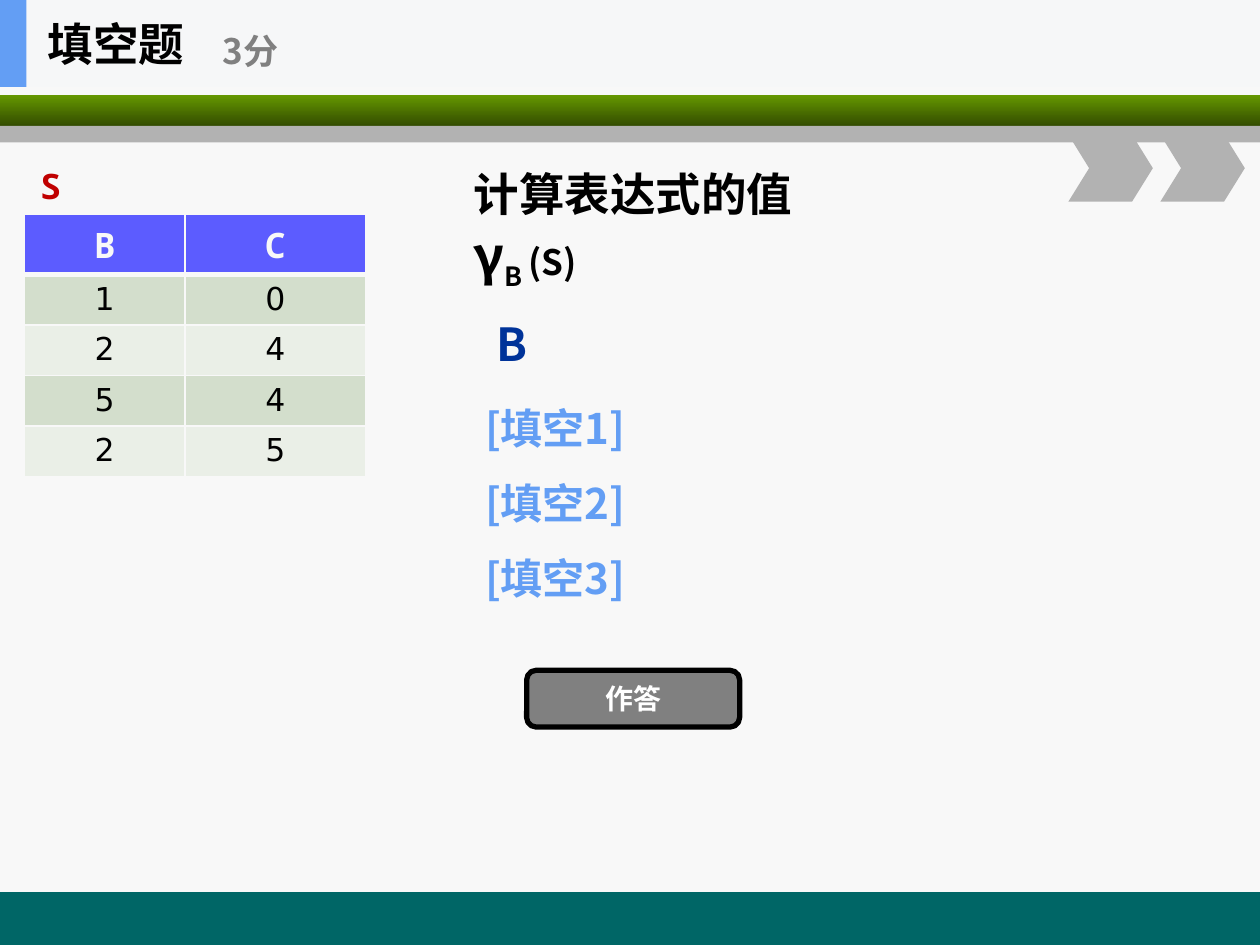
from lxml import etree
from pptx import Presentation
from pptx.dml.color import RGBColor
from pptx.enum.shapes import MSO_SHAPE
from pptx.enum.text import MSO_ANCHOR, MSO_AUTO_SIZE, PP_ALIGN
from pptx.oxml.ns import qn
from pptx.util import Inches, Pt

RECT, CHEVRON = MSO_SHAPE.RECTANGLE, MSO_SHAPE.CHEVRON
ROUNDED = MSO_SHAPE.ROUNDED_RECTANGLE
TOP, MIDDLE = MSO_ANCHOR.TOP, MSO_ANCHOR.MIDDLE
LEFT, CENTER, RIGHT = PP_ALIGN.LEFT, PP_ALIGN.CENTER, PP_ALIGN.RIGHT
NO_AUTOFIT = MSO_AUTO_SIZE.NONE

PAPER = RGBColor(0xF8, 0xF8, 0xF8)
HEADER = RGBColor(0xF6, 0xF7, 0xF8)
TEAL = RGBColor(0x00, 0x66, 0x66)
GREEN = RGBColor(0x66, 0x99, 0x00)
DARK_GREEN = RGBColor(0x33, 0x4C, 0x00)
SILVER = RGBColor(0xB2, 0xB2, 0xB2)
GRAY = RGBColor(0x80, 0x80, 0x80)
SKY = RGBColor(0x63, 0x9E, 0xF4)
NAVY = RGBColor(0x00, 0x33, 0x99)
RED = RGBColor(0xC0, 0x00, 0x00)
VIOLET = RGBColor(0x5C, 0x5C, 0xFF)
SAGE = RGBColor(0xD3, 0xDE, 0xCC)
PALE_SAGE = RGBColor(0xEA, 0xEF, 0xE7)
BLACK = RGBColor(0, 0, 0)
WHITE = RGBColor(0xFF, 0xFF, 0xFF)

CJK, MONO, SANS = "Noto Sans CJK SC", "Noto Sans Mono", "DejaVu Sans"

prs = Presentation()
prs.slide_width, prs.slide_height = Inches(10), Inches(7.5)
slide = prs.slides.add_slide(prs.slide_layouts[1])
slide.background.fill.solid()
slide.background.fill.fore_color.rgb = PAPER


def add_block(kind, left, top, width, height, color):
    block = slide.shapes.add_shape(
        kind, Inches(left), Inches(top), Inches(width), Inches(height))
    block.shadow.inherit = False
    block.fill.solid()
    block.fill.fore_color.rgb = color
    block.line.fill.background()
    return block


def style(paragraph, size, color, font=CJK, bold=True, align=LEFT):
    paragraph.alignment = align
    paragraph.font.size = Pt(size)
    paragraph.font.name = font
    paragraph.font.bold = bold
    paragraph.font.color.rgb = color


# Footer, green band and chevrons
add_block(RECT, 0, 7.08, 10, 0.42, TEAL)
band = add_block(RECT, 0, 0.75, 10, 0.25, GREEN)
band.fill.gradient()
band.fill.gradient_angle = 270
for stop, color in zip(band.fill.gradient_stops, (GREEN, DARK_GREEN)):
    stop.color.rgb = color
add_block(RECT, 0, 1, 10, 0.13, SILVER)
for left in (8.48, 9.21):
    add_block(CHEVRON, left, 1.07, 0.67, 0.53, SILVER).adjustments[0] = 0.31

# Header with title and score
add_block(RECT, 0, 0, 10, 0.69, HEADER)
add_block(RECT, 0, 0, 0.21, 0.69, SKY)
title = slide.shapes.title
title.left, title.top = Inches(0.28), Inches(0)
title.width, title.height = Inches(2.08), Inches(0.69)
title.text_frame.text = "填空题"
title.text_frame.vertical_anchor = MIDDLE
title.text_frame.word_wrap = False
style(title.text_frame.paragraphs[0], 26, BLACK)
slide.shapes._spTree.append(title._element)  # in front of the header bar

score = slide.shapes.add_textbox(
    Inches(1.67), Inches(0.12), Inches(2.5), Inches(0.56)).text_frame
score.text = "3分"
score.vertical_anchor = MIDDLE
score.word_wrap = False
style(score.paragraphs[0], 20, GRAY)

# Question and blanks: runs, size, colour, indent (inches), line pitch (points)
question = slide.placeholders[1]
question.left, question.top = Inches(3.66), Inches(1.27)
question.width, question.height = Inches(5.34), Inches(3.8)
frame = question.text_frame
frame.vertical_anchor = TOP
frame.auto_size = NO_AUTOFIT
lines = [
    (["计算表达式的值"], 26, BLACK, 0, None),
    (["γ", "B ", "(S)"], 30, BLACK, 0, 40.5),
    (["B"], 26, NAVY, 0.18, 45),
    (["[填空1]"], 24, SKY, 0.09, 47),
    (["[填空2]"], 24, SKY, 0.09, 43),
    (["[填空3]"], 24, SKY, 0.09, 43),
]
for index, (texts, size, color, indent, pitch) in enumerate(lines):
    line = frame.add_paragraph() if index else frame.paragraphs[0]
    props = line._p.get_or_add_pPr()
    props.set("marL", str(Inches(indent)))
    props.set("indent", "0")
    etree.SubElement(props, qn("a:buNone"))
    line.space_before = Pt(0)
    if pitch:
        line.line_spacing = Pt(pitch)
    style(line, size, color)
    for text in texts:
        line.add_run().text = text
gamma, subscript, relation = frame.paragraphs[1].runs
subscript.font.size = Pt(26)
subscript._r.get_or_add_rPr().set("baseline", "-25000")
relation.font.size = Pt(20)

# Answer button
button = add_block(ROUNDED, 4.18, 5.32, 1.69, 0.45, GRAY)
button.line.color.rgb = BLACK
button.line.width = Pt(3)
button.text_frame.text = "作答"
button.text_frame.vertical_anchor = MIDDLE
style(button.text_frame.paragraphs[0], 16, WHITE, align=CENTER)

# Relation S
relation_name = slide.shapes.add_textbox(
    Inches(0.22), Inches(1.26), Inches(0.35), Inches(0.44)).text_frame
relation_name.text = "S"
relation_name.word_wrap = False
style(relation_name.paragraphs[0], 20, RED, MONO, align=RIGHT)

rows = [("B", "C"), (1, 0), (2, 4), (5, 4), (2, 5)]
table = slide.shapes.add_table(
    len(rows), 2, Inches(0.19), Inches(1.7), Inches(2.71), Inches(2.04)).table
for column, width in zip(table.columns, (1.28, 1.43)):
    column.width = Inches(width)
for r, values in enumerate(rows):
    table.rows[r].height = Inches(0.39 if r else 0.48)
    for c, value in enumerate(values):
        cell = table.cell(r, c)
        cell.text = str(value)
        paragraph = cell.text_frame.paragraphs[0]
        if r == 0:
            style(paragraph, 20, PAPER, MONO, align=CENTER)
            fill = VIOLET
        else:
            style(paragraph, 18, BLACK, SANS, bold=False, align=CENTER)
            fill = SAGE if r % 2 else PALE_SAGE
        # Borders come before the fill in the cell properties
        props = cell._tc.get_or_add_tcPr()
        for side in ("lnL", "lnR", "lnT", "lnB"):
            thick = (r, side) in ((0, "lnB"), (1, "lnT"))
            border = etree.SubElement(
                props, qn("a:" + side), w=str(Pt(3 if thick else 1)))
            solid = etree.SubElement(border, qn("a:solidFill"))
            etree.SubElement(solid, qn("a:srgbClr"), val=str(PAPER))
        cell.fill.solid()
        cell.fill.fore_color.rgb = fill

prs.save("out.pptx")
